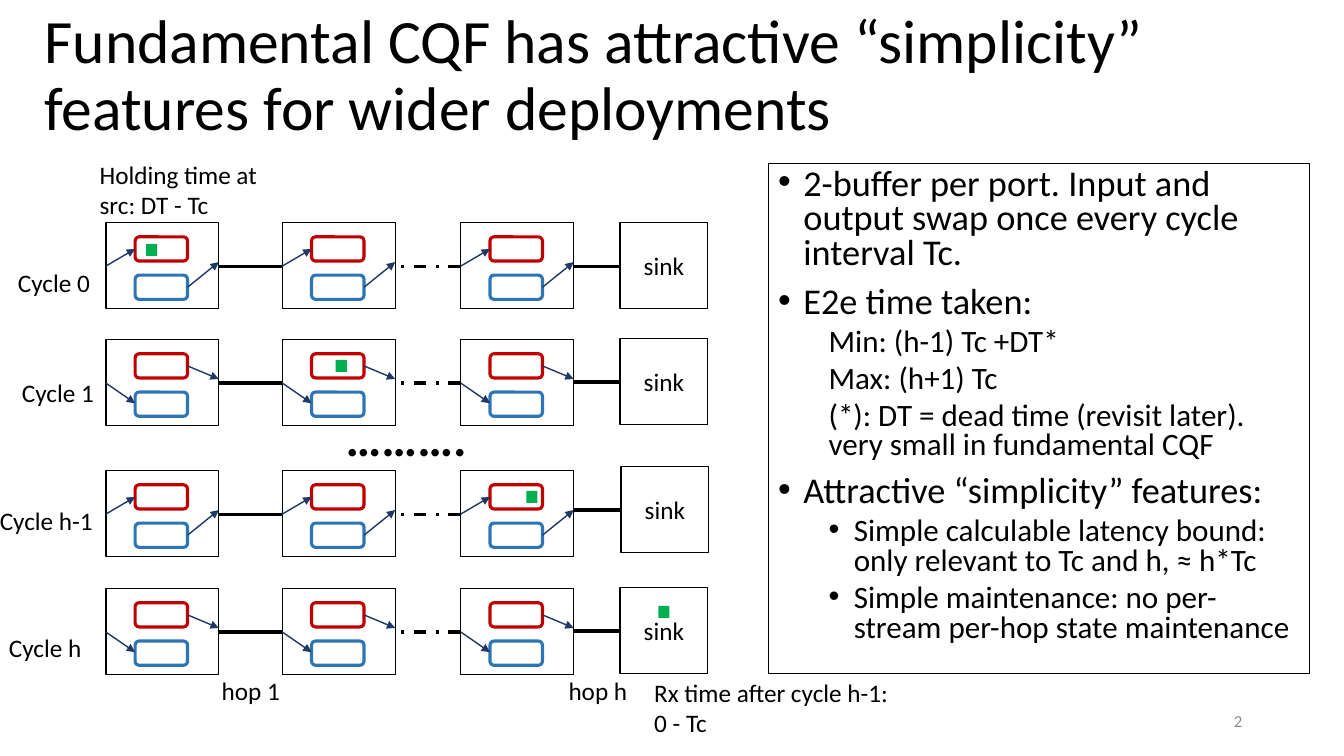
"""Build the slide on the simplicity of fundamental CQF."""
import pptx
import pptx.util
import pptx.dml.color
import pptx.enum.dml
import pptx.enum.shapes
import pptx.enum.text
from lxml import etree

TITLE = "Fundamental CQF has attractive “simplicity” features for wider deployments"
POINTS = [
    ("main", "2-buffer per port. Input and output swap once every cycle interval Tc."),
    ("main", "E2e time taken:"),
    ("plain", "Min: (h-1) Tc +DT*"),
    ("plain", "Max: (h+1) Tc"),
    ("plain", "(*): DT = dead time (revisit later). very small in fundamental CQF"),
    ("main", "Attractive “simplicity” features:"),
    ("sub", "Simple calculable latency bound: only relevant to Tc and h, ≈ h*Tc"),
    ("sub", "Simple maintenance: no per-stream per-hop state maintenance"),
]
POINT_STYLES = {
    "main": dict(level=0, margin=0.25, hanging=0.25, size=25.9, before=10),
    "plain": dict(level=1, margin=0.5, hanging=0, size=22.2, before=5),
    "sub": dict(level=1, margin=0.75, hanging=0.25, size=22.2, before=5),
}
CYCLES = [
    dict(name="Cycle 0", name_at=(0.08, 2.6), top=2.21, sink=(6.15, 2.21), packet=(0, 0.4, 0.21)),
    dict(name="Cycle 1", name_at=(0.12, 3.69), top=3.37, sink=(6.15, 3.36), packet=(1, 0.53, 0.2)),
    dict(name="Cycle h-1", name_at=(-0.1, 4.96), top=4.67, sink=(6.16, 4.63), packet=(2, 0.65, 0.2)),
    dict(name="Cycle h", name_at=(-0.01, 6.22), top=5.84, sink=(6.15, 5.83), packet=(3, 0.38, 0.18)),
]
NOTES = [
    ("Holding time at src: DT - Tc", (0.89, 1.53, 1.94, 0.71)),
    ("hop 1", (2.1, 6.65, 1.02, 0.4)),
    ("hop h", (5.54, 6.65, 1.02, 0.4)),
    ("Rx time after cycle h-1:\n0 - Tc", (6.39, 6.67, 2.84, 0.71)),
]
HOP_LEFTS = (1.05, 2.8, 4.57)
NODE_WIDTH, NODE_HEIGHT, SINK_WIDTH = 1.12, 0.85, 0.87
BUFFER_LEFT, BUFFER_WIDTH, BUFFER_HEIGHT = 0.29, 0.52, 0.24
BUFFERS = [(0.14, "C00000"), (0.52, "2E75B6")]
PORT = 0.43
FILLING_RED = [((0, PORT), (0.29, 0.26)), ((0.81, 0.64), (NODE_WIDTH, 0.39))]
FILLING_BLUE = [((0, PORT), (0.29, 0.63)), ((0.81, 0.26), (NODE_WIDTH, 0.39))]

SHAPE = pptx.enum.shapes.MSO_SHAPE
ALIGN = pptx.enum.text.PP_ALIGN
ANCHOR = pptx.enum.text.MSO_ANCHOR
DASH_DOT = pptx.enum.dml.MSO_LINE.DASH_DOT
inches = pptx.util.Inches


def color(value):
    return pptx.dml.color.RGBColor.from_string(value)


def child(parent, tag, **attributes):
    return etree.SubElement(parent, pptx.oxml.ns.qn(tag), attributes)


def format_text(frame, size, align=ALIGN.LEFT, ink="000000", bold=False):
    for paragraph in frame.paragraphs:
        paragraph.alignment = align
        paragraph.font.name = "Calibri"
        paragraph.font.size = pptx.util.Pt(size)
        paragraph.font.bold = bold
        paragraph.font.color.rgb = color(ink)


def add_text(text, box, size=18, **style):
    frame = slide.shapes.add_textbox(*map(inches, box)).text_frame
    frame.word_wrap = True
    frame.text = text
    format_text(frame, size, **style)
    return frame


def add_box(shapes, box, line=None, width=1, fill=None, kind=SHAPE.RECTANGLE):
    shape = shapes.add_shape(kind, *map(inches, box))
    shape.shadow.inherit = False
    if fill:
        shape.fill.solid()
        shape.fill.fore_color.rgb = color(fill)
    else:
        shape.fill.background()
    if line:
        shape.line.color.rgb = color(line)
        shape.line.width = pptx.util.Pt(width)
    else:
        shape.line.fill.background()
    return shape


def add_line(shapes, start, end, ink="000000", width=2.25, dash=None, arrow=False):
    line = shapes.add_connector(pptx.enum.shapes.MSO_CONNECTOR.STRAIGHT,
                                *map(inches, (*start, *end)))
    line.line.color.rgb = color(ink)
    line.line.width = pptx.util.Pt(width)
    if dash:
        line.line.dash_style = dash
    if arrow:
        child(line.line._get_or_add_ln(), "a:tailEnd", type="triangle")
    child(line._element.spPr, "a:effectLst")


def add_packet(shapes, left, top):
    add_box(shapes, (left, top, 0.11, 0.12), fill="00B050")


def add_node(left, top, flows, packet):
    shapes = slide.shapes.add_group_shape().shapes
    add_box(shapes, (left, top, NODE_WIDTH, NODE_HEIGHT), "000000")
    for offset, ink in BUFFERS:
        add_box(shapes, (left + BUFFER_LEFT, top + offset, BUFFER_WIDTH, BUFFER_HEIGHT),
                ink, 2.25, kind=SHAPE.ROUNDED_RECTANGLE)
    for (x1, y1), (x2, y2) in flows:
        add_line(shapes, (left + x1, top + y1), (left + x2, top + y2), "203864", 1, arrow=True)
    if packet:
        add_packet(shapes, left + packet[0], top + packet[1])


def add_cycle(index, cycle):
    top, (sink_left, sink_top) = cycle["top"], cycle["sink"]
    packet_stop, *packet_offset = cycle["packet"]
    add_text(cycle["name"], (*cycle["name_at"], 1.26, 0.4))
    for hop, left in enumerate(HOP_LEFTS):
        add_node(left, top, FILLING_BLUE if index % 2 else FILLING_RED,
                 packet_offset if hop == packet_stop else None)
    for hop, dash in enumerate((None, DASH_DOT)):
        add_line(slide.shapes, (HOP_LEFTS[hop + 1], top + PORT),
                 (HOP_LEFTS[hop] + NODE_WIDTH, top + PORT), dash=dash)
    add_line(slide.shapes, (HOP_LEFTS[-1] + NODE_WIDTH, sink_top + PORT),
             (sink_left, sink_top + PORT))
    sink = add_box(slide.shapes, (sink_left, sink_top, SINK_WIDTH, NODE_HEIGHT), "000000")
    sink.text_frame.text = "sink"
    sink.text_frame.vertical_anchor = ANCHOR.MIDDLE
    format_text(sink.text_frame, 18, ALIGN.CENTER)
    if packet_stop == len(HOP_LEFTS):
        add_packet(slide.shapes, sink_left + packet_offset[0], sink_top + packet_offset[1])


def add_points():
    panel = add_box(slide.shapes, (7.62, 1.62, 5.37, 5.06), "000000", 0.75)
    frame = panel.text_frame
    frame.word_wrap = True
    frame.vertical_anchor = ANCHOR.TOP
    frame.text = "\n".join(text for _, text in POINTS)
    for paragraph, (kind, _) in zip(frame.paragraphs, POINTS):
        style = POINT_STYLES[kind]
        paragraph.level = style["level"]
        properties = paragraph._p.get_or_add_pPr()
        properties.set("marL", str(inches(style["margin"])))
        properties.set("indent", str(-inches(style["hanging"])))
        if style["hanging"]:
            child(properties, "a:buFont", typeface="Arial")
            child(properties, "a:buChar", char="•")
        paragraph.line_spacing = 0.8
        paragraph.space_before = pptx.util.Pt(style["before"])
    format_text(frame, 18)
    for paragraph, (kind, _) in zip(frame.paragraphs, POINTS):
        paragraph.font.size = pptx.util.Pt(POINT_STYLES[kind]["size"])


deck = pptx.Presentation()
deck.slide_width, deck.slide_height = inches(13.33), inches(7.5)
slide = deck.slides.add_slide(deck.slide_layouts[5])

title = slide.shapes.title
title.left, title.top, title.width, title.height = map(inches, (0.34, 0.04, 11.7, 1.45))
title.text_frame.text = TITLE
title.text_frame.auto_size = pptx.enum.text.MSO_AUTO_SIZE.NONE
title.text_frame.vertical_anchor = ANCHOR.MIDDLE
title.text_frame.paragraphs[0].line_spacing = 0.9
format_text(title.text_frame, 44)

for index, cycle in enumerate(CYCLES):
    add_cycle(index, cycle)
for note, box in NOTES:
    add_text(note, box)
add_text("……….", (3.33, 3.98, 1.77, 0.71), 36, bold=True)
add_points()
page = add_text("2", (9.42, 6.95, 3, 0.4), 12, align=ALIGN.RIGHT, ink="8C8C8C")
page.vertical_anchor = ANCHOR.MIDDLE

deck.save("out.pptx")
